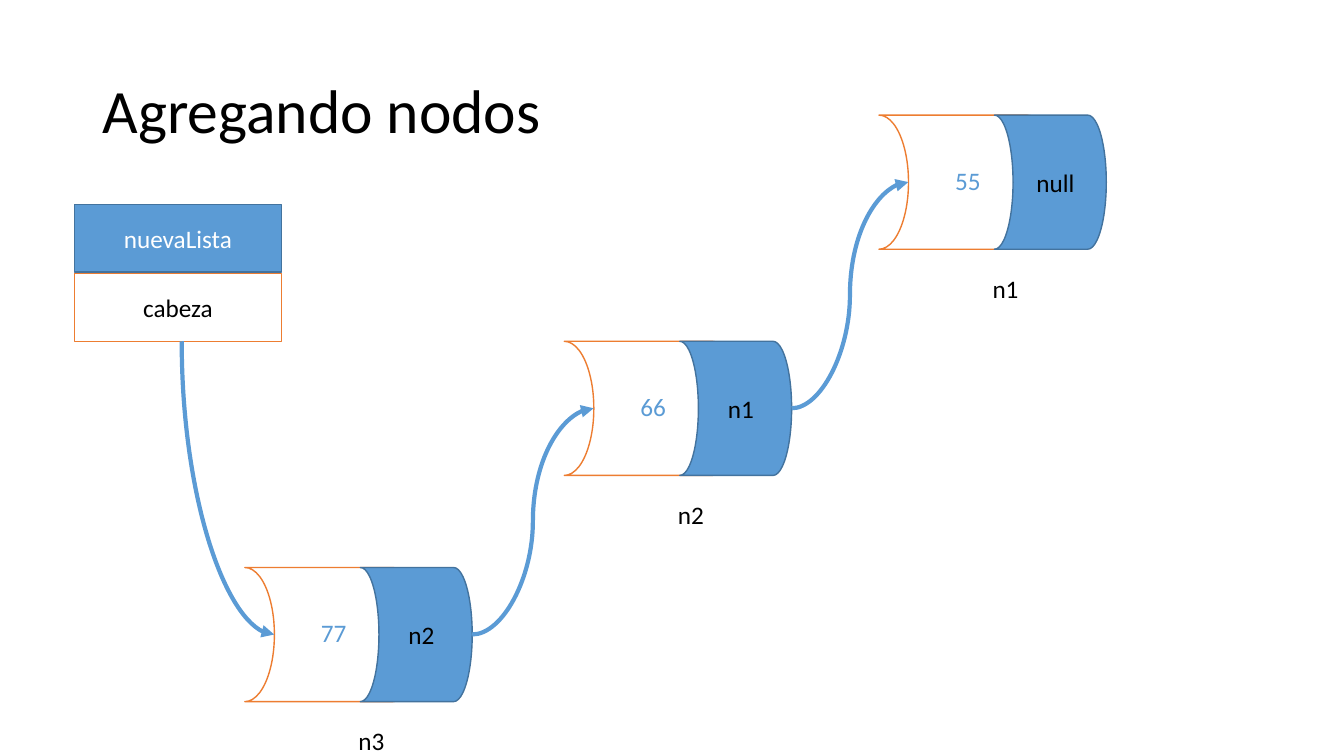
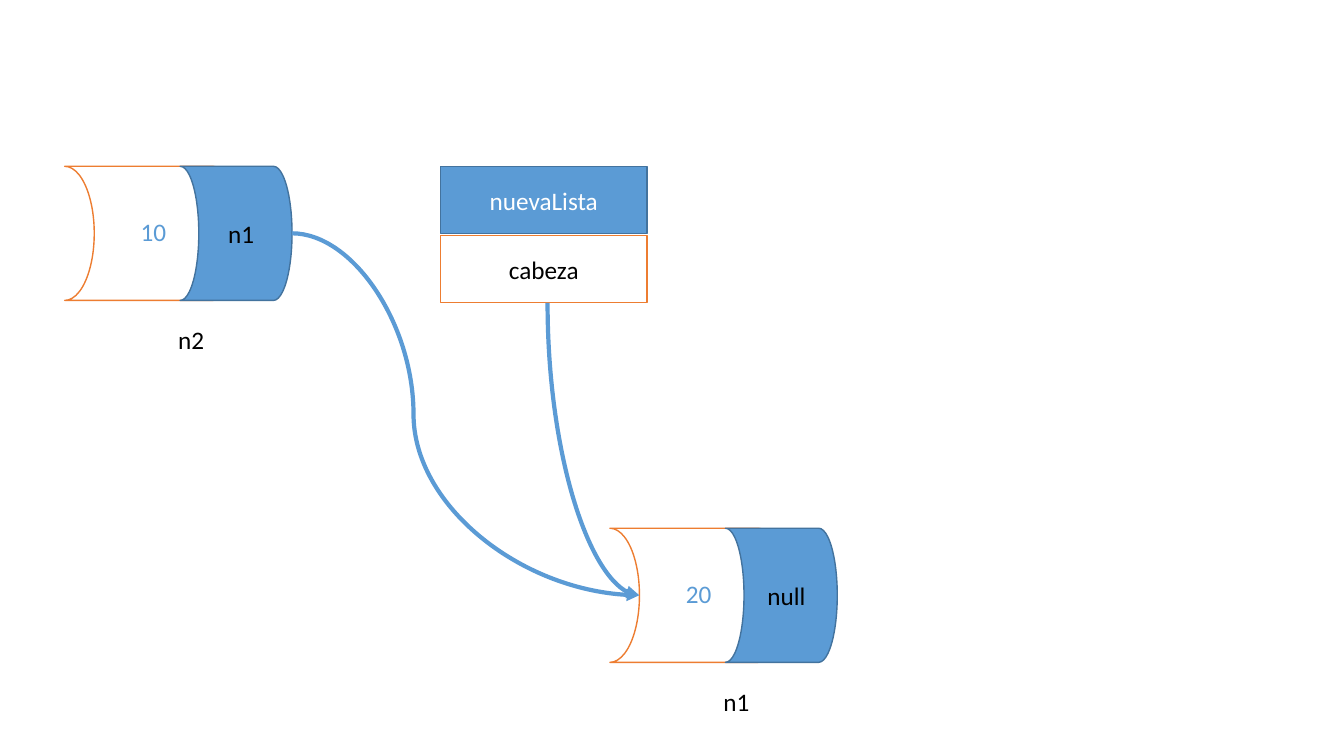
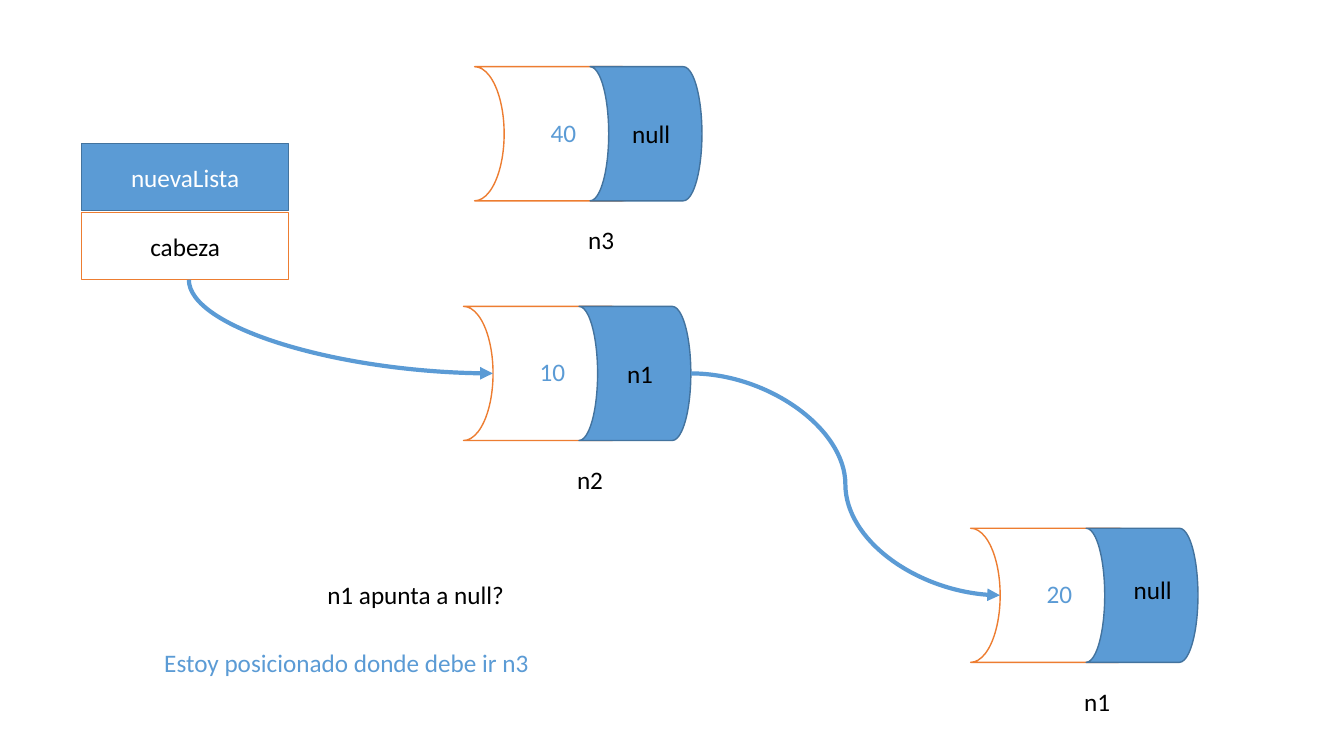
import dataclasses

import lxml.etree
import pptx
import pptx.dml.color
import pptx.enum.shapes
import pptx.enum.text
import pptx.oxml.ns
import pptx.util

Cm = pptx.util.Cm
Pt = pptx.util.Pt
qn = pptx.oxml.ns.qn
Preset = pptx.enum.shapes.MSO_SHAPE
Align = pptx.enum.text.PP_ALIGN
Anchor = pptx.enum.text.MSO_ANCHOR
AutoSize = pptx.enum.text.MSO_AUTO_SIZE
rgb = pptx.dml.color.RGBColor.from_string


@dataclasses.dataclass
class Theme:
    font: str = "Calibri"
    title_size: int = 44
    text_size: int = 18
    outline: float = 1
    arrow: float = 3
    ink: str = "000000"
    paper: str = "FFFFFF"
    blue: str = "5B9BD5"
    dark_blue: str = "43739E"
    orange: str = "ED7D31"


@dataclasses.dataclass
class Node:
    name: str
    value: str
    following: str
    x: float
    y: float
    bend: float = 0.5
    nudge: float = 0


@dataclasses.dataclass
class Diagram:
    title: str
    list_at: tuple
    head: str
    nodes: list
    notes: list


theme = Theme()

diagrams = [
    Diagram("Agregando nodos", (1.88, 5.16), "n3", [
        Node("n2", "66", "n1", 14.22, 8.6),
        Node("n3", "77", "n2", 6.17, 14.3),
        Node("n1", "55", "null", 22.15, 2.9),
    ], []),
    Diagram("", (11.1, 4.19), "n1", [
        Node("n1", "20", "null", 15.37, 13.31),
        Node("n2", "10", "n1", 1.63, 4.19, bend=0.35),
    ], []),
    Diagram("", (2.06, 3.61), "n2", [
        Node("n1", "20", "null", 24.46, 13.31, nudge=0.14),
        Node("n2", "10", "n1", 11.68, 7.72),
        Node("n3", "40", "null", 11.96, 1.68),
    ], [
        ("n1 apunta a null?", 7.77, 14.48, 5.41, theme.ink, Align.CENTER),
        ("Estoy posicionado donde debe ir n3", 3.89, 16.18, 9.8, theme.blue, Align.LEFT),
    ]),
]

LIST_W, LIST_H, LIST_STEP, LIST_EXIT = 5.21, 1.7, 1.74, 2.7
CELL_H, VALUE_W, POINTER_W, POINTER_X = 3.38, 4.47, 2.82, 2.91
ENTRY_X, EXIT_X = 0.74, 5.73


def write(box, text, colour=theme.ink, size=theme.text_size, align=Align.CENTER,
          anchor=Anchor.MIDDLE, wrap=True, fit=AutoSize.NONE, spacing=1):
    frame = box.text_frame
    frame.word_wrap = wrap
    frame.auto_size = fit
    frame.vertical_anchor = anchor
    paragraph = frame.paragraphs[0]
    paragraph.alignment = align
    paragraph.line_spacing = spacing
    run = paragraph.add_run()
    run.text = text
    run.font.name = theme.font
    run.font.size = Pt(size)
    run.font.color.rgb = rgb(colour)


def draw_cell(shapes, preset, x, y, width, height, filled):
    cell = shapes.add_shape(preset, Cm(x), Cm(y), Cm(width), Cm(height))
    cell.shadow.inherit = False
    cell.fill.solid()
    cell.fill.fore_color.rgb = rgb(theme.blue if filled else theme.paper)
    cell.line.color.rgb = rgb(theme.dark_blue if filled else theme.orange)
    cell.line.width = Pt(theme.outline)
    return cell


deck = pptx.Presentation()
deck.slide_width = Cm(33.87)
deck.slide_height = Cm(19.05)
titled, blank = deck.slide_layouts[5], deck.slide_layouts[6]

for diagram in diagrams:
    slide = deck.slides.add_slide(titled if diagram.title else blank)
    shapes = slide.shapes
    if diagram.title:
        heading = shapes.title
        heading.left, heading.top = Cm(2.33), Cm(1.01)
        heading.width, heading.height = Cm(29.21), Cm(3.68)
        write(heading, diagram.title, size=theme.title_size, align=Align.LEFT, spacing=0.9)

    list_x, list_y = diagram.list_at
    list_name = draw_cell(shapes, Preset.RECTANGLE, list_x, list_y, LIST_W, LIST_H, True)
    write(list_name, "nuevaLista", colour=theme.paper)
    list_head = draw_cell(shapes, Preset.RECTANGLE, list_x, list_y + LIST_STEP, LIST_W, LIST_H, False)
    write(list_head, "cabeza")

    labels = list(diagram.notes)
    for node in diagram.nodes:
        for offset, width, filled in ((0, VALUE_W, False), (POINTER_X, POINTER_W, True)):
            half = draw_cell(shapes, Preset.FLOWCHART_STORED_DATA, node.x + offset, node.y,
                             width, CELL_H, filled)
            half.rotation = 180
        for text, centre, top, colour in (
            (node.name, 3.19, 3.86, theme.ink),
            (node.following, 4.45 + node.nudge, 1.18 - node.nudge, theme.ink),
            (node.value, 2.24, 1.14, theme.blue),
        ):
            width = 0.8 + 0.2 * len(text)
            labels.append((text, node.x + centre - width / 2, node.y + top, width, colour, Align.CENTER))

    for text, x, y, width, colour, align in labels:
        label = shapes.add_textbox(Cm(x), Cm(y), Cm(width), Cm(1.03))
        write(label, text, colour=colour, align=align, anchor=Anchor.TOP, wrap=False,
              fit=AutoSize.SHAPE_TO_FIT_TEXT)

    entries = {node.name: (node.x + ENTRY_X, node.y + CELL_H / 2) for node in diagram.nodes}
    links = [(node.x + EXIT_X, node.y + CELL_H / 2, node.following, node.bend)
             for node in diagram.nodes if node.following in entries]
    links.append((list_x + LIST_EXIT, list_y + LIST_STEP + LIST_H, diagram.head, None))

    for start_x, start_y, target, bend in links:
        end_x, end_y = entries[target]
        from_list = bend is None
        if from_list:
            middle_x, middle_y = (start_x + end_x) / 2, (start_y + end_y) / 2
            half_w, half_h = (end_y - start_y) / 2, (end_x - start_x) / 2
            start_x, end_x = middle_x + half_w, middle_x - half_w
            start_y, end_y = middle_y - half_h, middle_y + half_h
        arrow = shapes.add_connector(pptx.enum.shapes.MSO_CONNECTOR.CURVE,
                                     Cm(start_x), Cm(start_y), Cm(end_x), Cm(end_y))
        arrow.line.color.rgb = rgb(theme.blue)
        arrow.line.width = Pt(theme.arrow)
        properties = arrow._element.spPr
        geometry = properties.find(qn("a:prstGeom"))
        if from_list:
            geometry.set("prst", "curvedConnector2")
            properties.find(qn("a:xfrm")).set("rot", "16200000")
        else:
            lxml.etree.SubElement(geometry.find(qn("a:avLst")), qn("a:gd"),
                                  name="adj1", fmla=f"val {round(bend * 100000)}")
        lxml.etree.SubElement(properties.find(qn("a:ln")), qn("a:tailEnd"), type="triangle")
        lxml.etree.SubElement(properties, qn("a:effectLst"))

deck.save("out.pptx")
